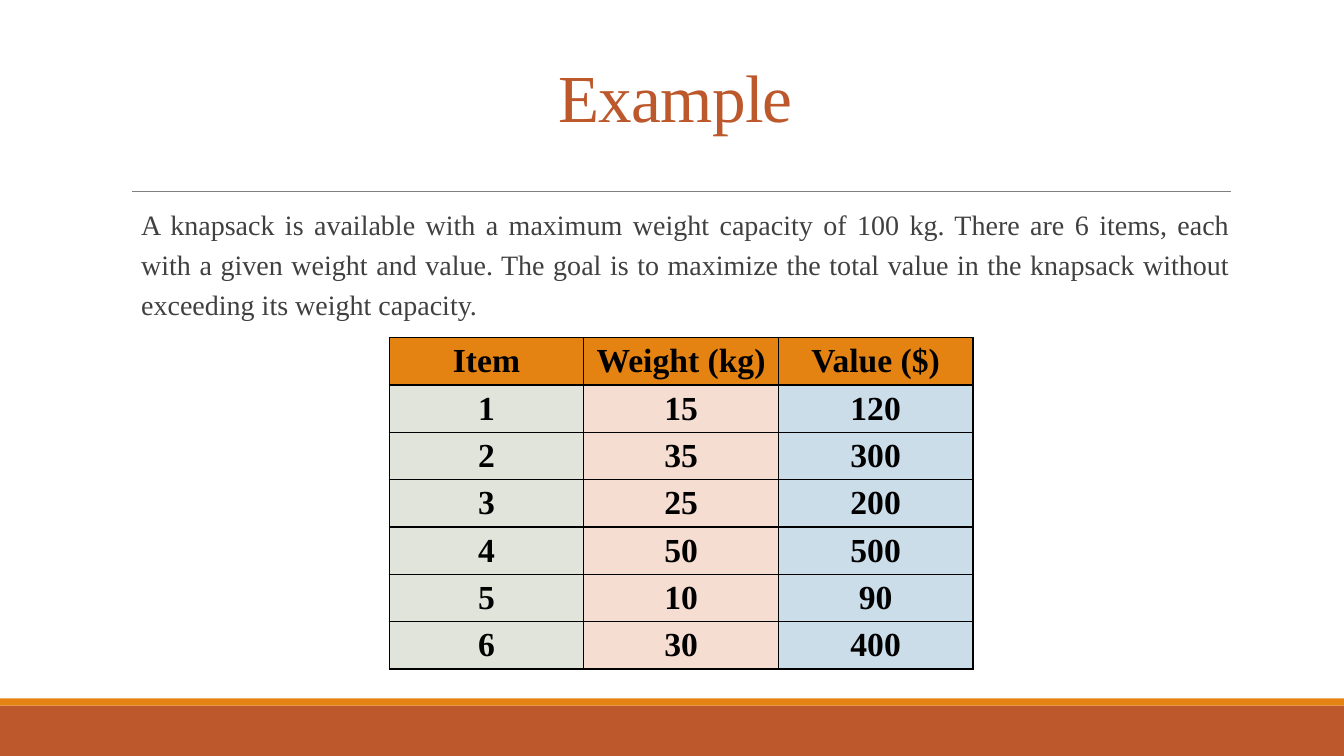
import pptx
import pptx.dml.color
import pptx.enum.shapes
import pptx.enum.text
import pptx.oxml
import pptx.oxml.ns
import pptx.util
import lxml.etree

PX = 9144  # EMU per px, 100 px to the inch
FONT = "Times New Roman"
RUST, ORANGE, BLACK = "BD582C", "E48312", "000000"
ALIGN = pptx.enum.text.PP_ALIGN
ANCHOR = pptx.enum.text.MSO_ANCHOR


def color(code):
    return pptx.dml.color.RGBColor.from_string(code)


def write(frame, text, size=24, ink=BLACK, bold=False, align=ALIGN.CENTER,
          line=1.0, after=0, track=0):
    para = frame.paragraphs[0]
    para.alignment = align
    para.line_spacing = line
    para.space_after = pptx.util.Pt(after)
    run = para.add_run()
    run.text = text
    run.font.name = FONT
    run.font.size = pptx.util.Pt(size)
    run.font.bold = bold
    run.font.color.rgb = color(ink)
    if track:
        run.font._element.set("spc", str(track))


deck = pptx.Presentation()
deck.slide_width, deck.slide_height = 1333 * PX, 750 * PX
slide = deck.slides.add_slide(deck.slide_layouts[6])
shapes = slide.shapes

# Footer bands
for top, height, fill in ((700, 50, RUST), (693, 7, ORANGE)):
    band = shapes.add_shape(pptx.enum.shapes.MSO_SHAPE.RECTANGLE,
                            0, top * PX, deck.slide_width, height * PX)
    band.shadow.inherit = False
    band.fill.solid()
    band.fill.fore_color.rgb = color(fill)
    band.line.fill.background()

# Rule under the title
rule = shapes.add_connector(pptx.enum.shapes.MSO_CONNECTOR.STRAIGHT,
                            131 * PX, 190 * PX, 1221 * PX, 190 * PX)
rule.line.color.rgb = color("808080")
rule.line.width = pptx.util.Pt(0.5)
lxml.etree.SubElement(rule._element.spPr, pptx.oxml.ns.qn("a:effectLst"))

# Title
title = shapes.add_textbox(120 * PX, 50 * PX, 1100 * PX, 90 * PX).text_frame
title.word_wrap = True
title.vertical_anchor = ANCHOR.BOTTOM
write(title, "Example", size=48, ink=RUST, line=0.85, track=-50)

# Problem statement
body = shapes.add_textbox(120 * PX, 194 * PX, 1100 * PX, 490 * PX).text_frame
body.word_wrap = True
body.margin_left, body.margin_right = 20 * PX, 0
write(body, "A knapsack is available with a maximum weight capacity of 100 kg. "
      "There are 6 items, each with a given weight and value. The goal is to "
      "maximize the total value in the knapsack without exceeding its weight "
      "capacity.", size=20, ink="404040", align=ALIGN.JUSTIFY, line=1.2, after=2)

# Item table
rows = (("Item", "Weight (kg)", "Value ($)"),
        (1, 15, 120), (2, 35, 300), (3, 25, 200),
        (4, 50, 500), (5, 10, 90), (6, 30, 400))
tints = ("E0E4DB", "F5DDD2", "CCDDEA")
wide, high = 193, 47
table = shapes.add_table(len(rows), len(tints), 386 * PX, 335 * PX,
                         len(tints) * wide * PX, len(rows) * high * PX).table
for col in table.columns:
    col.width = wide * PX
for row in table.rows:
    row.height = high * PX

for r, row in enumerate(rows):
    for c, value in enumerate(row):
        cell = table.cell(r, c)
        cell.margin_left = cell.margin_right = 3 * PX
        cell.margin_top = cell.margin_bottom = 2 * PX
        cell.vertical_anchor = ANCHOR.MIDDLE
        write(cell.text_frame, str(value), bold=True)
        # Borders come before the fill in the cell properties
        for side in ("lnL", "lnR", "lnT", "lnB"):
            cell._tc.get_or_add_tcPr().append(pptx.oxml.parse_xml(
                f'<a:{side} {pptx.oxml.ns.nsdecls("a")} w="12700"><a:solidFill>'
                f'<a:srgbClr val="{BLACK}"/></a:solidFill></a:{side}>'))
        cell.fill.solid()
        cell.fill.fore_color.rgb = color(tints[c] if r else ORANGE)

deck.save("out.pptx")
